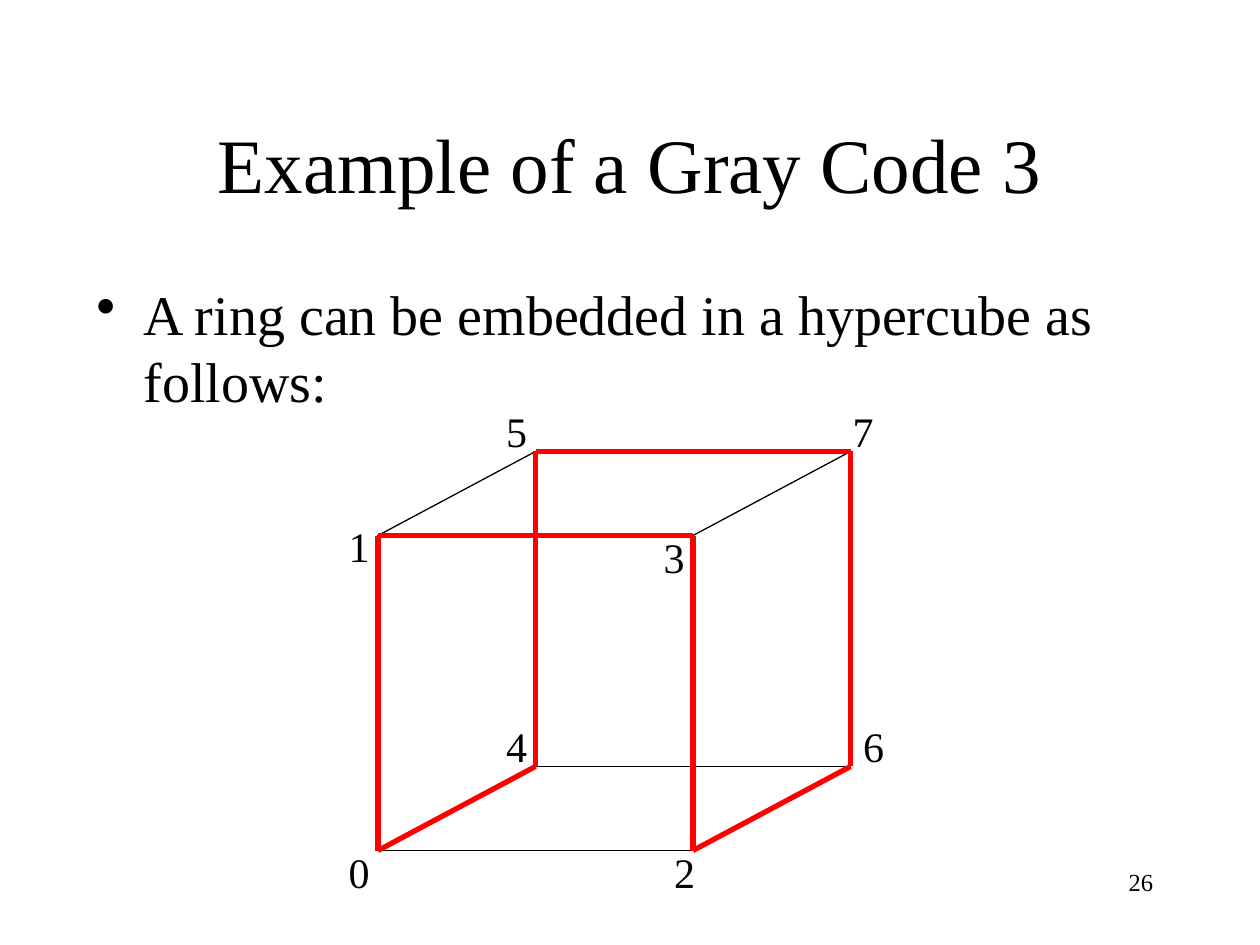
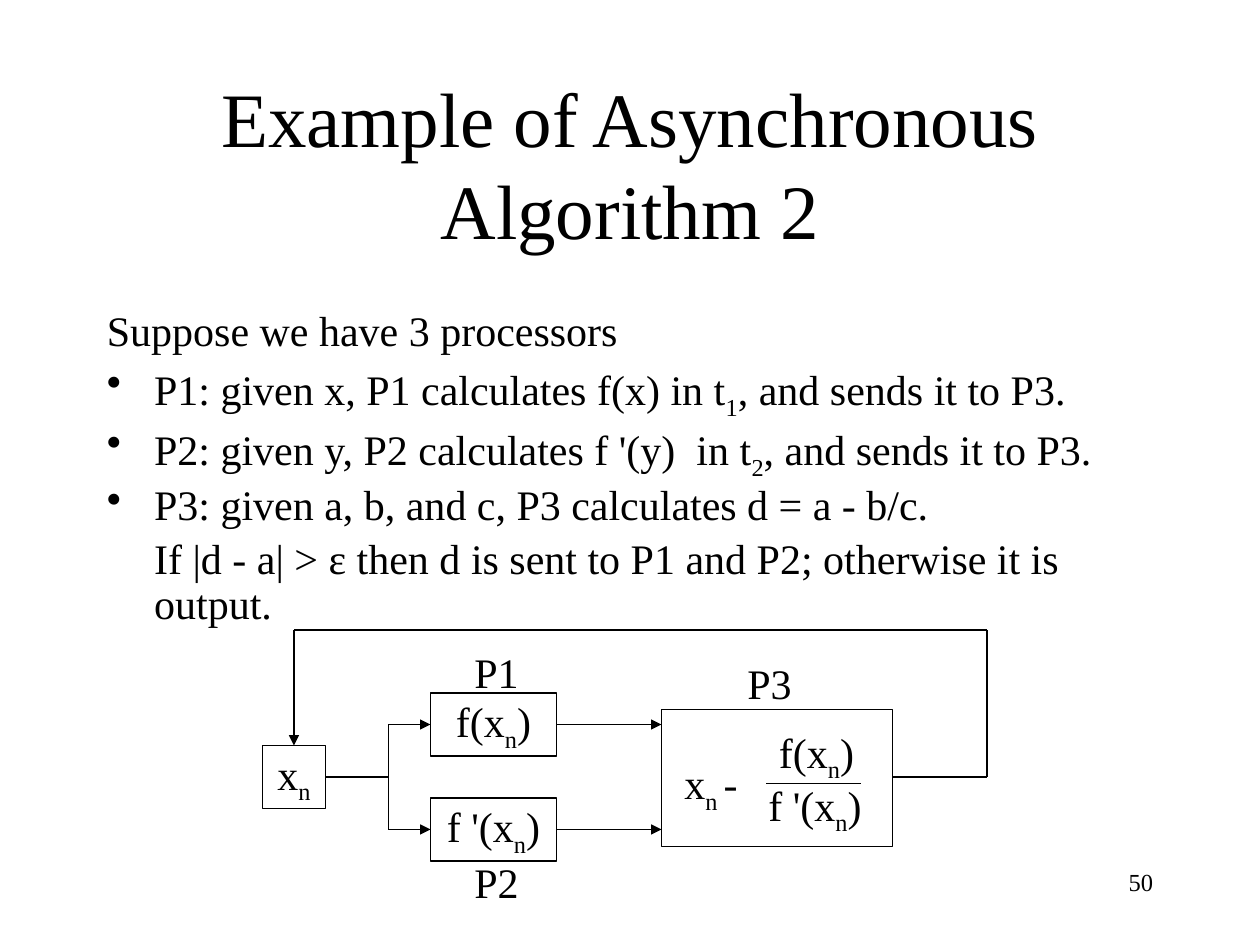
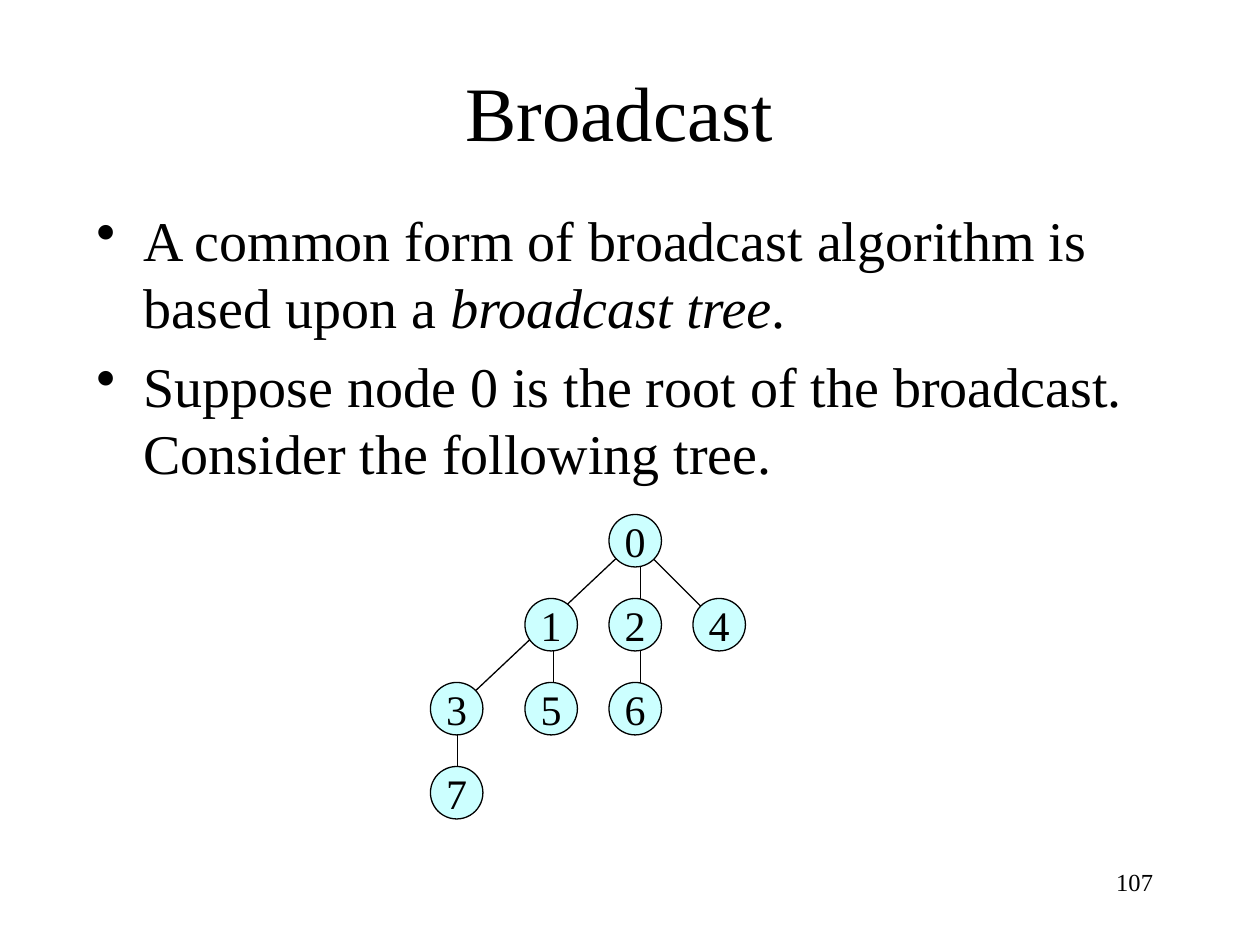
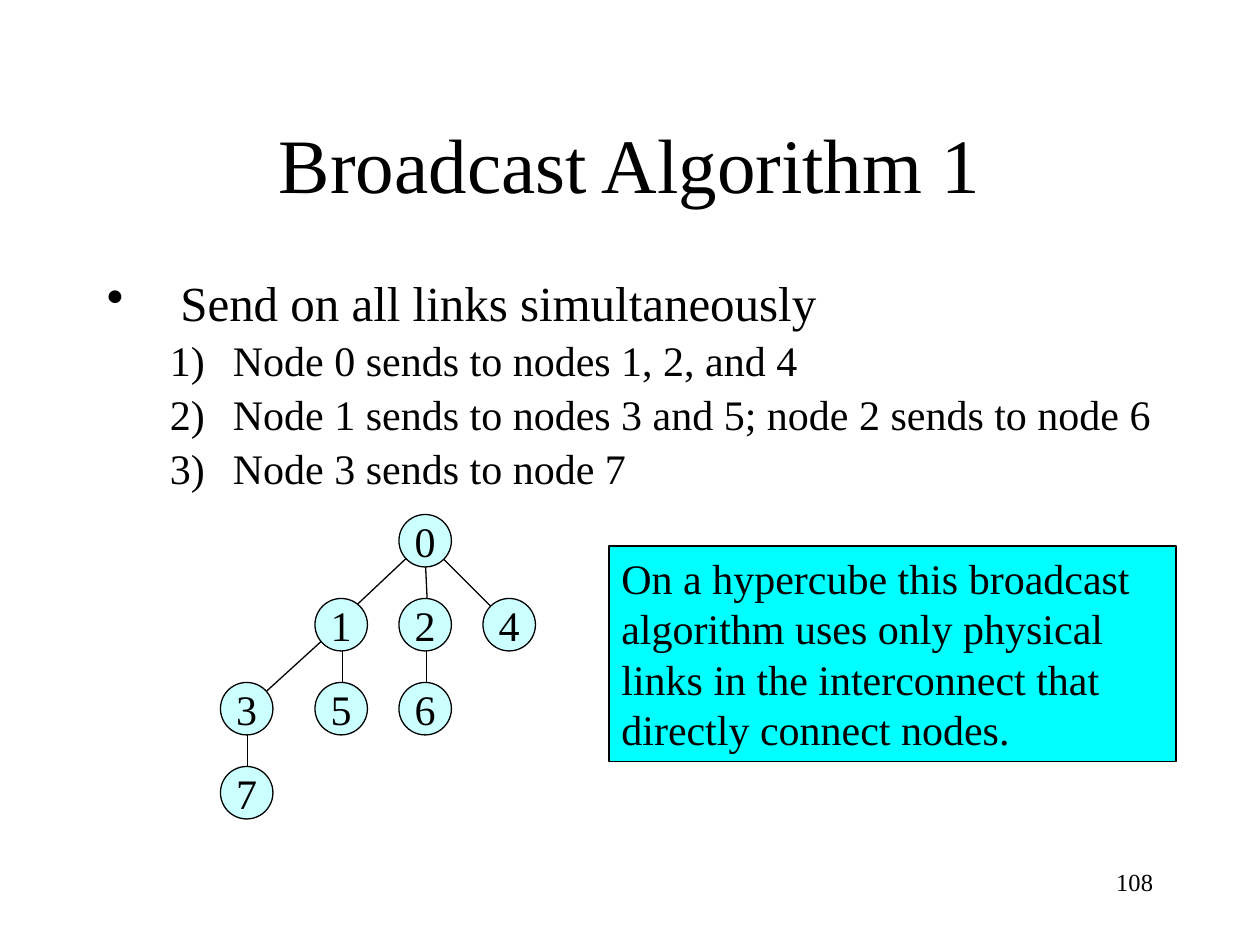
from dataclasses import dataclass
from itertools import pairwise

import pptx
import pptx.dml.color
import pptx.enum.shapes
import pptx.enum.text
import pptx.oxml.ns
import pptx.oxml.xmlchemy
import pptx.util
from lxml import etree

EMU_PER_PX = 7620  # 120 px to the inch
ALIGN = pptx.enum.text.PP_ALIGN
ANCHOR = pptx.enum.text.MSO_ANCHOR
SHAPE = pptx.enum.shapes.MSO_SHAPE


@dataclass(frozen=True)
class Theme:
    font: str = "Times New Roman"
    ink: str = "000000"
    paper: str = "FFFFFF"
    ring: str = "FF0000"
    node: str = "CCFFFF"
    callout: str = "00FFFF"
    title: int = 44
    body: int = 32
    lead: int = 28
    small: int = 24
    number: int = 14
    thin: float = 0.75
    thick: float = 3


THEME = Theme()


@dataclass(frozen=True)
class Para:
    """One paragraph; pieces between ~ marks take the accent format."""
    text: str
    size: int = THEME.small
    margin: int = 0
    hanging: int = 0
    bullet: str = ""
    level: int = 0


# Shared helpers
def px(*lengths):
    return [pptx.util.Emu(length * EMU_PER_PX) for length in lengths]


def rgb(color):
    return pptx.dml.color.RGBColor.from_string(color)


def add_xml(parent, tag, **attributes):
    element = etree.SubElement(parent, pptx.oxml.ns.qn(tag))
    for key, value in attributes.items():
        element.set(key, str(value))
    return element


def format_list(paragraph, para):
    properties = paragraph._p.get_or_add_pPr()
    properties.set("marL", str(para.margin * EMU_PER_PX))
    properties.set("indent", str(-para.hanging * EMU_PER_PX))
    if para.bullet == "1)":
        add_xml(properties, "a:buFontTx")
        add_xml(properties, "a:buAutoNum", type="arabicParenR")
    elif para.bullet:
        add_xml(properties, "a:buFontTx")
        add_xml(properties, "a:buChar", char=para.bullet)
    else:
        add_xml(properties, "a:buNone")


def write(frame, content, *, size=THEME.small, align=ALIGN.LEFT, anchor=ANCHOR.TOP,
          wrap=True, spacing=None, accent="sub"):
    """Fill a text frame with one string or a list of Para."""
    frame.word_wrap = wrap
    frame.vertical_anchor = anchor
    paras = [Para(content, size)] if isinstance(content, str) else content
    for index, para in enumerate(paras):
        paragraph = frame.add_paragraph() if index else frame.paragraphs[0]
        paragraph.alignment = align
        paragraph.level = para.level
        if spacing:
            paragraph.line_spacing = spacing
        if index:
            paragraph.space_before = pptx.util.Pt(para.size * 0.2)
        format_list(paragraph, para)
        for part, piece in enumerate(para.text.split("~")):
            run = paragraph.add_run()
            run.text = piece
            run.font.name = THEME.font
            run.font.size = pptx.util.Pt(para.size)
            run.font.color.rgb = rgb(THEME.ink)
            if part % 2 and accent == "italic":
                run.font.italic = True
            elif part % 2:
                run._r.get_or_add_rPr().set("baseline", "-25000")


def add_text(shapes, box, content, **style):
    write(shapes.add_textbox(*px(*box)).text_frame, content, **style)


def add_box(shapes, box, text="", *, kind=SHAPE.RECTANGLE, fill=None,
            align=ALIGN.CENTER, anchor=ANCHOR.MIDDLE, wrap=False):
    shape = shapes.add_shape(kind, *px(*box))
    shape.shadow.inherit = False
    if fill:
        shape.fill.solid()
        shape.fill.fore_color.rgb = rgb(fill)
    else:
        shape.fill.background()
    shape.line.color.rgb = rgb(THEME.ink)
    shape.line.width = pptx.util.Pt(THEME.thin)
    if text:
        write(shape.text_frame, text, align=align, anchor=anchor, wrap=wrap)


def add_route(shapes, *points, color=THEME.ink, width=THEME.thin, arrow=False):
    """Join points with straight lines; the arrowhead sits on the last one."""
    for start, end in pairwise(points):
        line = shapes.add_connector(
            pptx.enum.shapes.MSO_CONNECTOR.STRAIGHT, *px(*start, *end))
        line.line.color.rgb = rgb(color)
        line.line.width = pptx.util.Pt(width)
        if arrow and end == points[-1]:
            add_xml(line.line._get_or_add_ln(), "a:tailEnd", type="triangle")
        add_xml(line._element.spPr, "a:effectLst")


def start_slide(deck, title, number, title_at=(90, 80)):
    slide = deck.slides.add_slide(deck.slide_layouts[6])
    slide.background.fill.solid()
    slide.background.fill.fore_color.rgb = rgb(THEME.paper)
    add_text(slide.shapes, (860, 820, 250, 60), number, size=THEME.number, align=ALIGN.RIGHT)
    add_text(slide.shapes, (*title_at, 1020, 150), title, size=THEME.title,
             align=ALIGN.CENTER, anchor=ANCHOR.MIDDLE)
    return slide.shapes


def bullet(text, size=THEME.small):
    return Para(text, size, margin=45, hanging=45, bullet="•")


# Hypercube: each bit of a vertex number moves it along one axis
def cube_vertex(number):
    across, up, back = number >> 1 & 1, number & 1, number >> 2
    return 360 + 300 * across + 150 * back, 810 - 300 * up - 80 * back


def draw_cube(shapes):
    for top_left in (1, 5):
        add_box(shapes, (*cube_vertex(top_left), 300, 300))
    for front in range(4):
        add_route(shapes, cube_vertex(front), cube_vertex(front + 4))
    gray_code = [0, 1, 3, 2, 6, 7, 5, 4, 0]
    add_route(shapes, *map(cube_vertex, gray_code), color=THEME.ring, width=THEME.thick)
    label_spots = [(320, 800), (320, 490), (630, 800), (620, 500),
                   (470, 680), (470, 380), (810, 680), (800, 380)]
    for number, spot in enumerate(label_spots):
        add_text(shapes, (*spot, 44, 60), str(number), align=ALIGN.CENTER, wrap=False)


# Processor flow of the asynchronous iteration
def draw_processors(shapes):
    for y in (690, 790):
        add_route(shapes, (530, y), (630, y), arrow=True)
        add_route(shapes, (370, y), (410, y), arrow=True)
    add_route(shapes, (370, 690), (370, 790))
    add_route(shapes, (370, 740), (310, 740))
    add_route(shapes, (850, 740), (940, 740), (940, 600), (280, 600), (280, 710), arrow=True)

    add_box(shapes, (250, 710, 60, 60), "x~n~", fill=THEME.paper)
    add_box(shapes, (410, 660, 120, 60), "f(x~n~)", fill=THEME.paper)
    add_box(shapes, (410, 760, 120, 60), "f '(x~n~)", fill=THEME.paper)
    add_box(shapes, (630, 676, 220, 130))
    add_route(shapes, (730, 746), (820, 746))
    labels = [("f '(x~n~)", (720, 736, 116, 61)), ("f(x~n~)", (730, 686, 97, 60)),
              ("x~n ~-", (640, 716, 78, 60)), ("P1", (440, 610, 66, 60)),
              ("P2", (440, 810, 66, 60)), ("P3", (700, 620, 66, 60))]
    for text, box in labels:
        add_text(shapes, box, text, wrap=False)


# Broadcast tree: nodes by column and row over their links
def draw_tree(shapes, left, links):
    for link in links:
        add_route(shapes, *link)
    columns = (0, 90, 170, 250)
    nodes = {0: (2, 0), 1: (1, 1), 2: (2, 1), 4: (3, 1),
             3: (0, 2), 5: (1, 2), 6: (2, 2), 7: (0, 3)}
    for number, (column, row) in nodes.items():
        add_box(shapes, (left + columns[column], 490 + 80 * row, 50, 50), str(number),
                kind=SHAPE.OVAL, fill=THEME.node)


# Slides
def gray_code_slide(deck):
    shapes = start_slide(deck, "Example of a Gray Code 3", "26")
    add_text(shapes, (80, 260, 1020, 150),
             [bullet("A ring can be embedded in a hypercube as follows:", THEME.body)])
    draw_cube(shapes.add_group_shape().shapes)


def asynchronous_slide(deck):
    shapes = start_slide(deck, "Example of Asynchronous Algorithm 2", "50")
    add_text(shapes, (90, 290, 1020, 300), [
        Para("Suppose we have 3 processors"),
        bullet("P1: given x, P1 calculates f(x) in t~1~, and sends it to P3."),
        bullet("P2: given y, P2 calculates f '(y)  in t~2~, and sends it to P3."),
        bullet("P3: given a, b, and c, P3 calculates d = a - b/c."),
        Para("If |d - a| > ε then d is sent to P1 and P2; otherwise it is output.", margin=45),
    ], spacing=0.9)
    draw_processors(shapes.add_group_shape().shapes)


def broadcast_slide(deck):
    shapes = start_slide(deck, "Broadcast", "107", title_at=(80, 30))
    add_text(shapes, (80, 190, 1020, 300), [
        bullet("A common form of broadcast algorithm is based upon a ~broadcast tree~.",
               THEME.body),
        bullet("Suppose node 0 is the root of the broadcast. Consider the following tree.",
               THEME.body),
    ], accent="italic")
    draw_tree(shapes.add_group_shape().shapes, 410, [
        ((436, 677), (436, 756)), ((527, 594), (527, 677)), ((610, 520), (690, 600)),
        ((610, 510), (610, 680)), ((610, 510), (440, 670))])


def broadcast_algorithm_slide(deck):
    shapes = start_slide(deck, "Broadcast Algorithm 1", "108")
    steps = ["Node 0 sends to nodes 1, 2, and 4",
             "Node 1 sends to nodes 3 and 5; node 2 sends to node 6",
             "Node 3 sends to node 7"]
    add_text(shapes, (90, 260, 1020, 200), [
        Para("Send on all links simultaneously", THEME.lead, 70, 70, "•"),
        *(Para(step, margin=120, hanging=60, bullet="1)", level=1) for step in steps),
    ], spacing=0.9)
    draw_tree(shapes.add_group_shape().shapes, 210, [
        ((236, 677), (236, 756)), ((406, 596), (406, 677)), ((331, 588), (230, 680)),
        ((326, 594), (326, 677)), ((410, 520), (490, 600)), ((404, 511), (408, 596)),
        ((410, 510), (323, 592))])
    add_box(shapes, (580, 520, 540, 205),
            "On a hypercube this broadcast algorithm uses only physical links in the "
            "interconnect that directly connect nodes.",
            fill=THEME.callout, align=ALIGN.LEFT, anchor=ANCHOR.TOP, wrap=True)


def main():
    deck = pptx.Presentation()
    deck.slide_width, deck.slide_height = px(1200, 900)
    gray_code_slide(deck)
    asynchronous_slide(deck)
    broadcast_slide(deck)
    broadcast_algorithm_slide(deck)
    deck.save("out.pptx")


if __name__ == "__main__":
    main()
